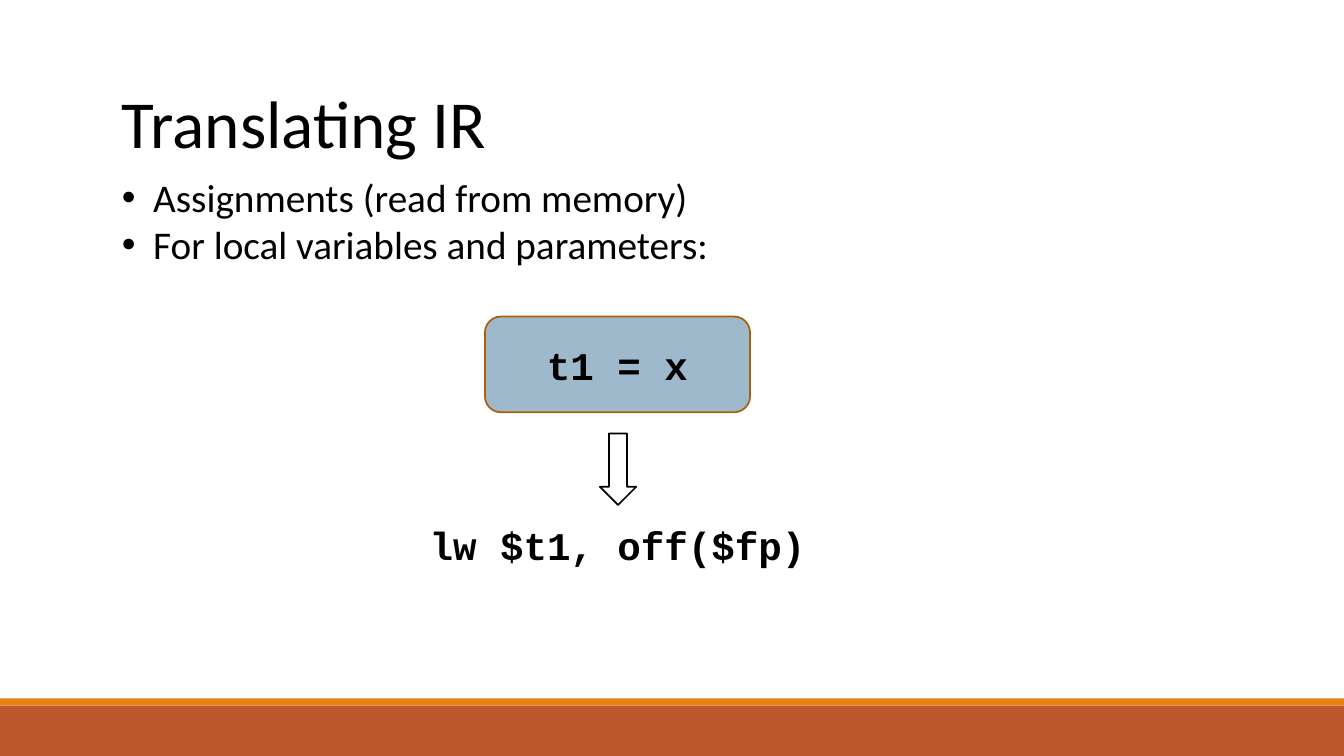
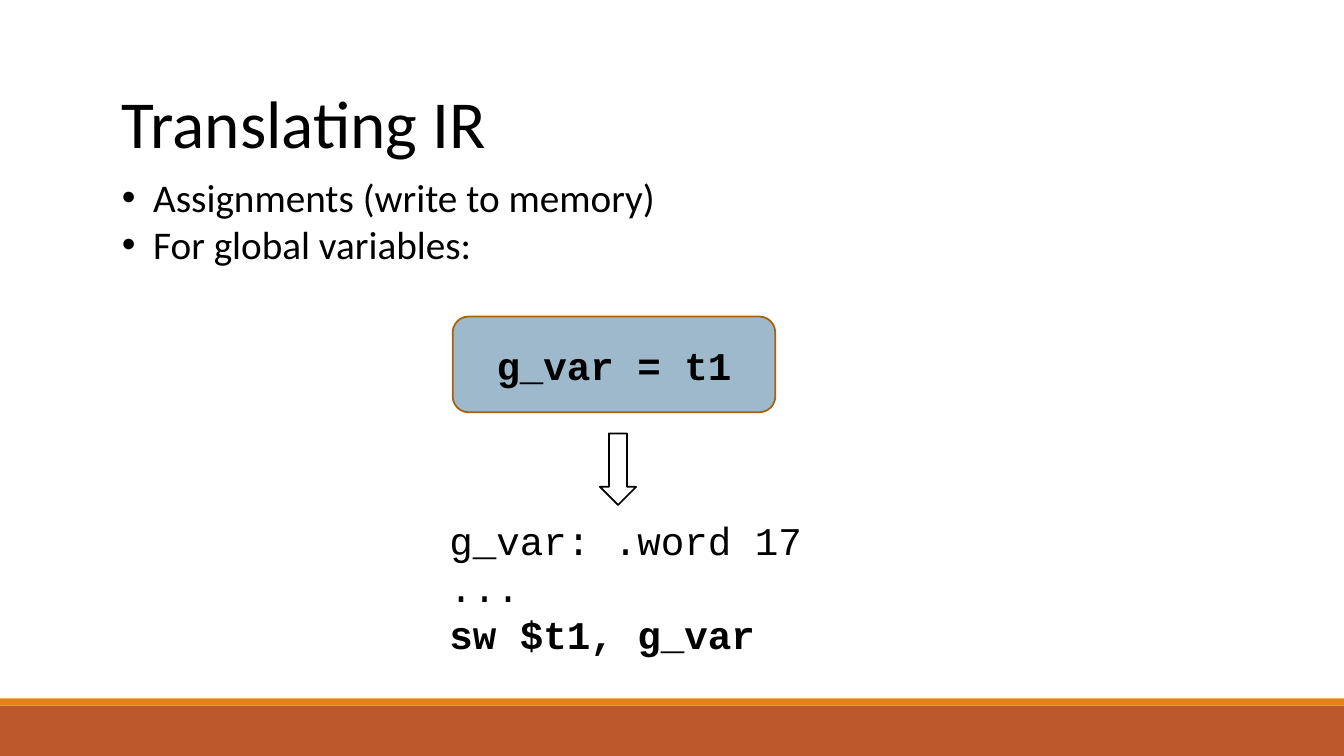
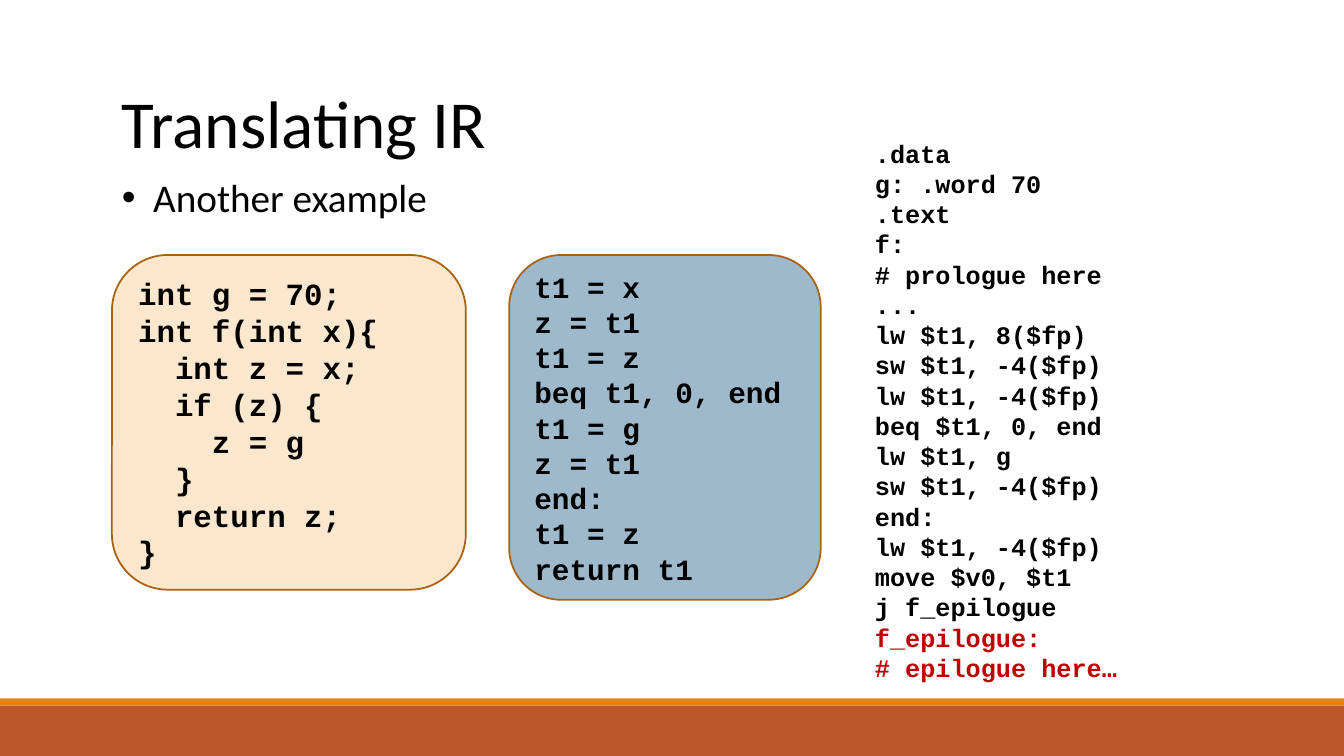
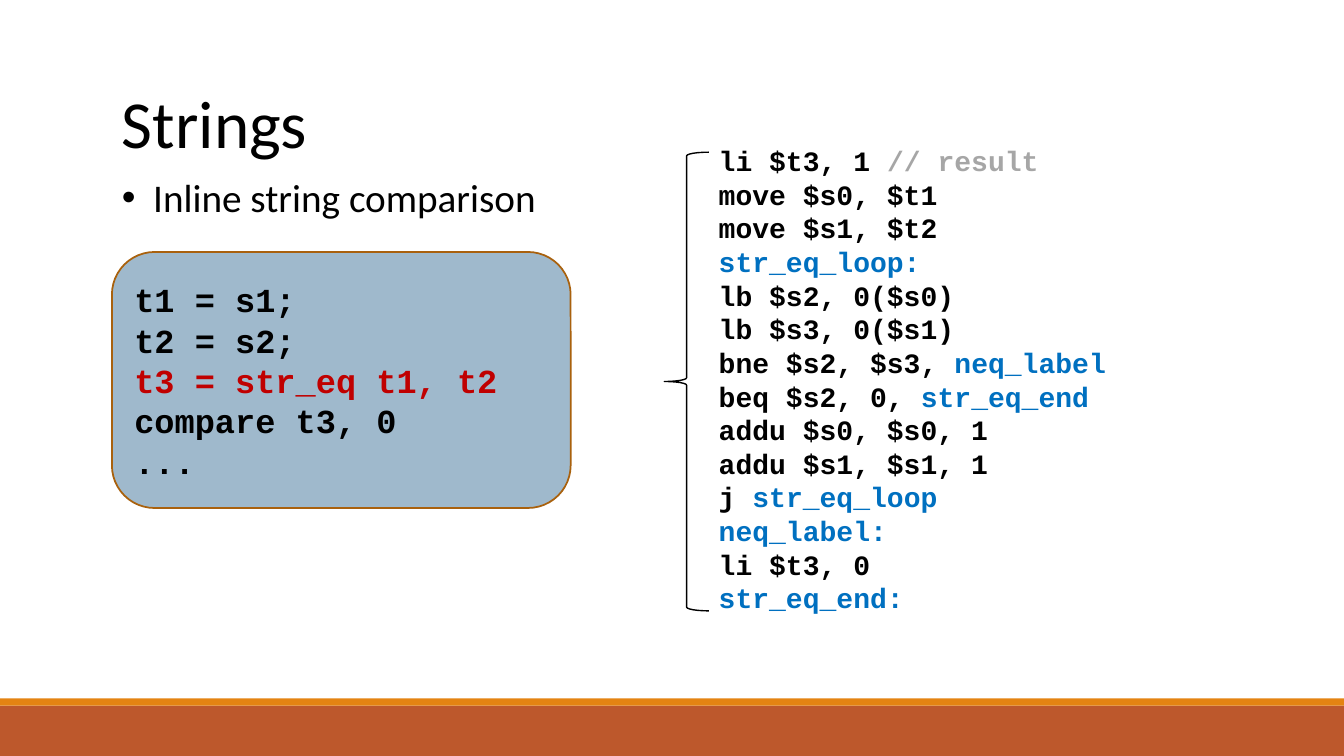
import dataclasses

import lxml.etree
import pptx
import pptx.dml.color
import pptx.enum.shapes
import pptx.enum.text
import pptx.oxml.ns
import pptx.util

PX = 9144
SHAPE = pptx.enum.shapes.MSO_SHAPE
ALIGN = pptx.enum.text.PP_ALIGN
ANCHOR = pptx.enum.text.MSO_ANCHOR


@dataclasses.dataclass(frozen=True)
class Theme:
    text_font: str = "Calibri"
    code_font: str = "Courier New"
    title_size: int = 48
    body_size: int = 28
    ink: str = "000000"
    paper: str = "FFFFFF"
    band: str = "BD582C"
    stripe: str = "E48312"
    ir_fill: str = "40749B"
    source_fill: str = "FBE6CE"
    outline: str = "A9610D"
    alert: str = "C00000"
    label: str = "0070C0"
    remark: str = "A6A6A6"


THEME = Theme()


def rgb(value):
    return pptx.dml.color.RGBColor.from_string(value)


def write(frame, lines, font=THEME.code_font, size=THEME.body_size, color=THEME.ink,
          bold=False, align=ALIGN.LEFT, anchor=ANCHOR.TOP, bullet=None, indent=31):
    frame.word_wrap = True
    frame.auto_size = pptx.enum.text.MSO_AUTO_SIZE.NONE
    frame.vertical_anchor = anchor
    for index, line in enumerate(lines):
        para = frame.paragraphs[0] if index == 0 else frame.add_paragraph()
        para.alignment = align
        para.space_before = pptx.util.Pt(0)
        if bullet:
            properties = para._p.get_or_add_pPr()
            properties.set("marL", str(indent * PX))
            properties.set("indent", str(-indent * PX))
            mark = lxml.etree.SubElement(properties, pptx.oxml.ns.qn("a:buChar"))
            mark.set("char", bullet)
        for text, changes in [(line, {})] if isinstance(line, str) else line:
            span = para.add_run()
            span.text = text
            span.font.name = font
            span.font.size = pptx.util.Pt(size)
            span.font.bold = changes.get("bold", bold)
            span.font.color.rgb = rgb(changes.get("color", color))


def tinted(text, color):
    return text, {"color": color}


def label(text):
    return tinted(text, THEME.label)


def plain(text):
    return text, {}


class Deck:
    def __init__(self, theme, width=1333, height=750):
        self.theme = theme
        self.width = width
        self.height = height
        self.file = pptx.Presentation()
        self.file.slide_width = width * PX
        self.file.slide_height = height * PX
        self.layout = self.file.slide_layouts[1]
        self.page = None

    def add_page(self, title, bullets):
        self.page = self.file.slides.add_slide(self.layout)
        if len(self.file.slides) == 1:
            self.add_bands()
        heading, body = self.page.placeholders
        self.place(heading, 111, 76, 1109, 91)
        write(heading.text_frame, [title], font=self.theme.text_font,
              size=self.theme.title_size)
        self.place(body, 111, 167, 1127, 10 + 47 * len(bullets))
        write(body.text_frame, bullets, font=self.theme.text_font, bullet="•")

    def add_bands(self):
        for top, height, color in ((700, 50, self.theme.band), (693, 7, self.theme.stripe)):
            band = self.shape(SHAPE.RECTANGLE, 0, top, self.width, height, fill=color)
            self.layout.shapes.element.append(band.element)

    def place(self, item, left, top, width, height):
        item.left, item.top = left * PX, top * PX
        item.width, item.height = width * PX, height * PX

    def shape(self, kind, left, top, width, height, fill=None, alpha=None,
              line=None, weight=1.25):
        item = self.page.shapes.add_shape(kind, left * PX, top * PX, width * PX, height * PX)
        item.shadow.inherit = False
        if fill:
            item.fill.solid()
            item.fill.fore_color.rgb = rgb(fill)
        else:
            item.fill.background()
        if alpha:
            tone = item.element.spPr.find(".//" + pptx.oxml.ns.qn("a:srgbClr"))
            lxml.etree.SubElement(tone, pptx.oxml.ns.qn("a:alpha")).set("val", str(alpha * 1000))
        if line:
            item.line.color.rgb = rgb(line)
            item.line.width = pptx.util.Pt(weight)
        else:
            item.line.fill.background()
        return item

    def code_box(self, left, top, width, height, lines, fill, alpha=None, **style):
        box = self.shape(SHAPE.ROUNDED_RECTANGLE, left, top, width, height,
                         fill=fill, alpha=alpha, line=self.theme.outline)
        write(box.text_frame, lines, bold=True, anchor=ANCHOR.MIDDLE, **style)

    def ir_box(self, left, top, width, height, lines, **style):
        self.code_box(left, top, width, height, lines, self.theme.ir_fill, alpha=50, **style)

    def text(self, left, top, width, height, lines, **style):
        box = self.page.shapes.add_textbox(left * PX, top * PX, width * PX, height * PX)
        write(box.text_frame, lines, **style)

    def translation(self, left, width, statement):
        self.ir_box(left, 314, width, 95, [statement], align=ALIGN.CENTER)
        self.shape(SHAPE.DOWN_ARROW, 595, 430, 36, 71, fill=self.theme.paper,
                   line=self.theme.ink)


def read_page(deck):
    deck.add_page("Translating IR", ["Assignments (read from memory)",
                                     "For local variables and parameters:"])
    deck.translation(481, 263, "t1 = x")
    deck.text(304, 492, 617, 97, ["lw $t1, off($fp)"], bold=True,
              align=ALIGN.CENTER, anchor=ANCHOR.MIDDLE)


def write_page(deck):
    deck.add_page("Translating IR", ["Assignments (write to memory)",
                                     "For global variables:"])
    deck.translation(449, 320, "g_var = t1")
    deck.text(436, 491, 617, 183, ["g_var: .word 17", "...",
                                   [("sw $t1, g_var", {"bold": True})]],
              anchor=ANCHOR.MIDDLE)


def example_page(deck):
    deck.add_page("Translating IR", ["Another example"])
    deck.code_box(111, 253, 351, 332, [
        "int g = 70;",
        "int f(int x){",
        "  int z = x;",
        "  if (z) {",
        "    z = g",
        "  }",
        "  return z;",
        "}",
    ], deck.theme.source_fill, size=22)
    deck.ir_box(505, 253, 309, 342, [
        "t1 = x",
        "z = t1",
        "t1 = z",
        "beq t1, 0, end",
        "t1 = g",
        "z = t1",
        "end:",
        "t1 = z",
        "return t1",
    ], size=21)
    deck.text(858, 132, 433, 555, [
        ".data",
        "g: .word 70",
        ".text",
        "f:",
        "# prologue here",
        "...",
        "lw $t1, 8($fp)",
        "sw $t1, -4($fp)",
        "lw $t1, -4($fp)",
        "beq $t1, 0, end",
        "lw $t1, g",
        "sw $t1, -4($fp)",
        "end:",
        "lw $t1, -4($fp)",
        "move $v0, $t1",
        "j f_epilogue",
        [tinted("f_epilogue:", deck.theme.alert)],
        [tinted("# epilogue here…", deck.theme.alert)],
    ], size=18, bold=True)


def strings_page(deck):
    deck.add_page("Strings", ["Inline string comparison"])
    deck.ir_box(111, 250, 455, 254, [
        "t1 = s1;",
        "t2 = s2;",
        [tinted("t3 = str_eq t1, t2", deck.theme.alert)],
        "compare t3, 0",
        "...",
    ], size=24)
    deck.text(703, 80, 572, 592, [
        [plain("li $t3, 1 "), tinted("// result", deck.theme.remark)],
        "move $s0, $t1",
        "move $s1, $t2",
        [label("str_eq_loop:")],
        "lb $s2, 0($s0)",
        "lb $s3, 0($s1)",
        [plain("bne $s2, $s3, "), label("neq_label")],
        [plain("beq $s2, 0, "), label("str_eq_end")],
        "addu $s0, $s0, 1",
        "addu $s1, $s1, 1",
        [plain("j "), label("str_eq_loop")],
        [label("neq_label:")],
        "li $t3, 0",
        [label("str_eq_end:")],
    ], size=20, bold=True, anchor=ANCHOR.MIDDLE)
    deck.shape(SHAPE.LEFT_BRACE, 659, 151, 44, 455, line=deck.theme.ink, weight=1)


def main():
    deck = Deck(THEME)
    for build in (read_page, write_page, example_page, strings_page):
        build(deck)
    deck.file.save("out.pptx")


if __name__ == "__main__":
    main()
